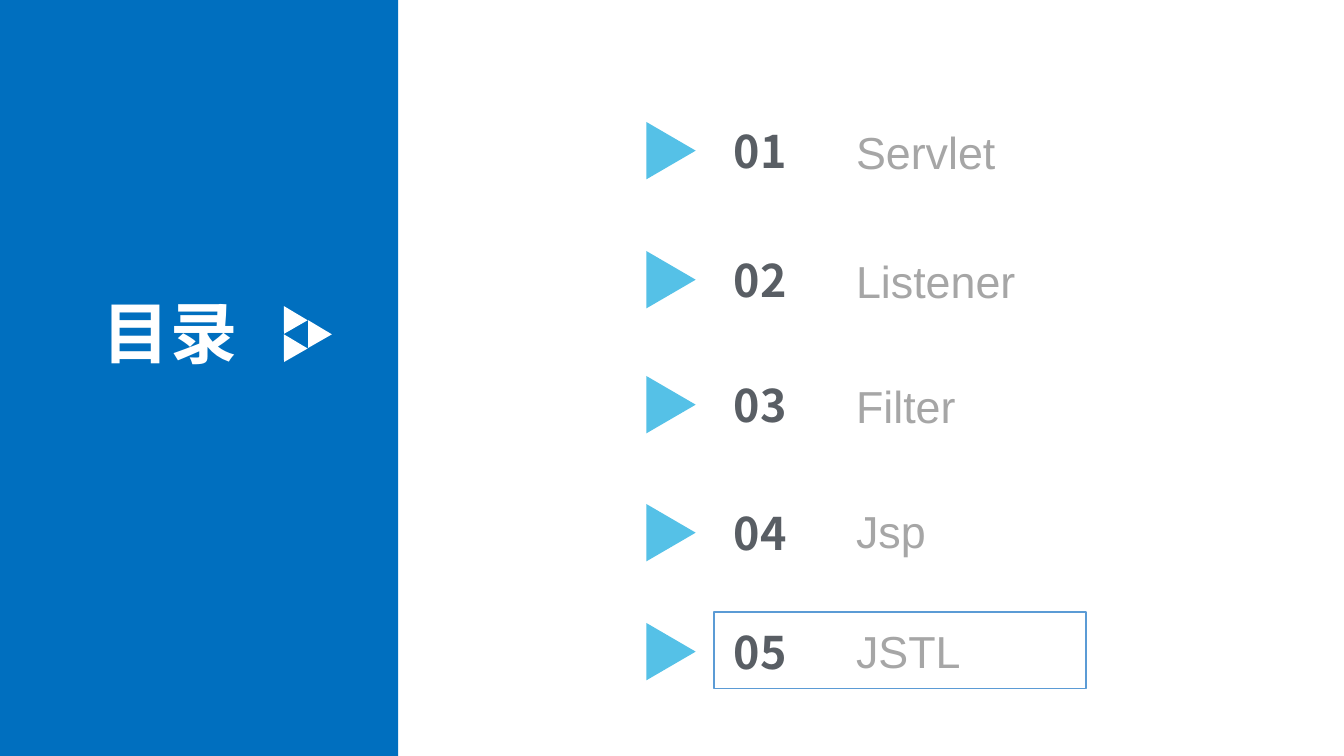
"""Build the contents slide: a blue title panel and five numbered topics."""
import pptx
import pptx.util
import pptx.dml.color
import pptx.enum.shapes
import pptx.enum.text
import pptx.oxml

Inches = pptx.util.Inches
SHAPE = pptx.enum.shapes.MSO_SHAPE
ANCHOR = pptx.enum.text.MSO_ANCHOR
COLORS = {"panel": "006FBF", "marker": "55C1E7", "number": "595E64",
          "topic": "A6A6A6", "frame": "5B9BD5", "white": "FFFFFF"}
HEADING_FONT = "Noto Sans CJK SC"
TOPICS = [("Servlet", 1.25, 1.23), ("Listener", 2.53, 2.51), ("Filter", 3.77, 3.75),
          ("Jsp", 5.04, 4.99), ("JSTL", 6.22, 6.18)]

deck = pptx.Presentation()
deck.slide_width, deck.slide_height = Inches(13.33), Inches(7.5)
slide = deck.slides.add_slide(deck.slide_layouts[5])


def add_filled(preset, left, top, width, height, color, rotation=0):
    figure = slide.shapes.add_shape(
        preset, Inches(left), Inches(top), Inches(width), Inches(height))
    figure.shadow.inherit = False
    figure.fill.solid()
    figure.fill.fore_color.rgb = pptx.dml.color.RGBColor.from_string(COLORS[color])
    figure.line.fill.background()
    figure.rotation = rotation
    return figure


def write(holder, text, size, font_name, color, bold, anchor):
    frame = holder.text_frame
    frame.word_wrap = True
    frame.auto_size = pptx.enum.text.MSO_AUTO_SIZE.NONE
    frame.vertical_anchor = anchor
    frame.text = text
    paragraph = frame.paragraphs[0]
    paragraph.alignment = pptx.enum.text.PP_ALIGN.LEFT
    font = paragraph.font
    font.size, font.name, font.bold = pptx.util.Pt(size), font_name, bold
    font.color.rgb = pptx.dml.color.RGBColor.from_string(COLORS[color])
    return frame


panel = add_filled(SHAPE.RECTANGLE, 0, 0, 3.95, 7.5, "panel")
slide.shapes._spTree.insert(2, panel._element)

title = slide.shapes.title
title.left, title.top = Inches(0.92), Inches(2.84)
title.width, title.height = Inches(1.74), Inches(0.91)
heading = write(title, "目录", 48, HEADING_FONT, "white", True, ANCHOR.TOP)
east_asian = pptx.oxml.parse_xml(
    '<a:ea xmlns:a="http://schemas.openxmlformats.org/drawingml/2006/main" '
    f'typeface="{HEADING_FONT}"/>')
heading.paragraphs[0].font._element.find(
    "{http://schemas.openxmlformats.org/drawingml/2006/main}latin").addnext(east_asian)

for left, top in [(2.74, 3.02), (2.74, 3.3), (2.98, 3.16)]:
    add_filled(SHAPE.ISOSCELES_TRIANGLE, left, top, 0.27, 0.24, "white", 330.2)

highlight = add_filled(SHAPE.RECTANGLE, 7.08, 6.07, 3.69, 0.76, "white")
highlight.line.color.rgb = pptx.dml.color.RGBColor.from_string(COLORS["frame"])
highlight.line.width = pptx.util.Pt(1)

for index, (topic, marker_top, topic_top) in enumerate(TOPICS, start=1):
    add_filled(SHAPE.ISOSCELES_TRIANGLE, 6.37, marker_top, 0.57, 0.49, "marker", 90)
    number_box = slide.shapes.add_textbox(
        Inches(7.18), Inches(marker_top - 0.07), Inches(1.2), Inches(0.64))
    write(number_box, f"{index:02d}", 32, HEADING_FONT, "number", True, ANCHOR.TOP)
    topic_box = slide.shapes.add_textbox(
        Inches(8.49), Inches(topic_top), Inches(2.28), Inches(0.54))
    label = write(topic_box, topic, 32, "Arial", "topic", False, ANCHOR.MIDDLE)
    label.margin_left = label.margin_right = label.margin_top = label.margin_bottom = 0

deck.save("out.pptx")
